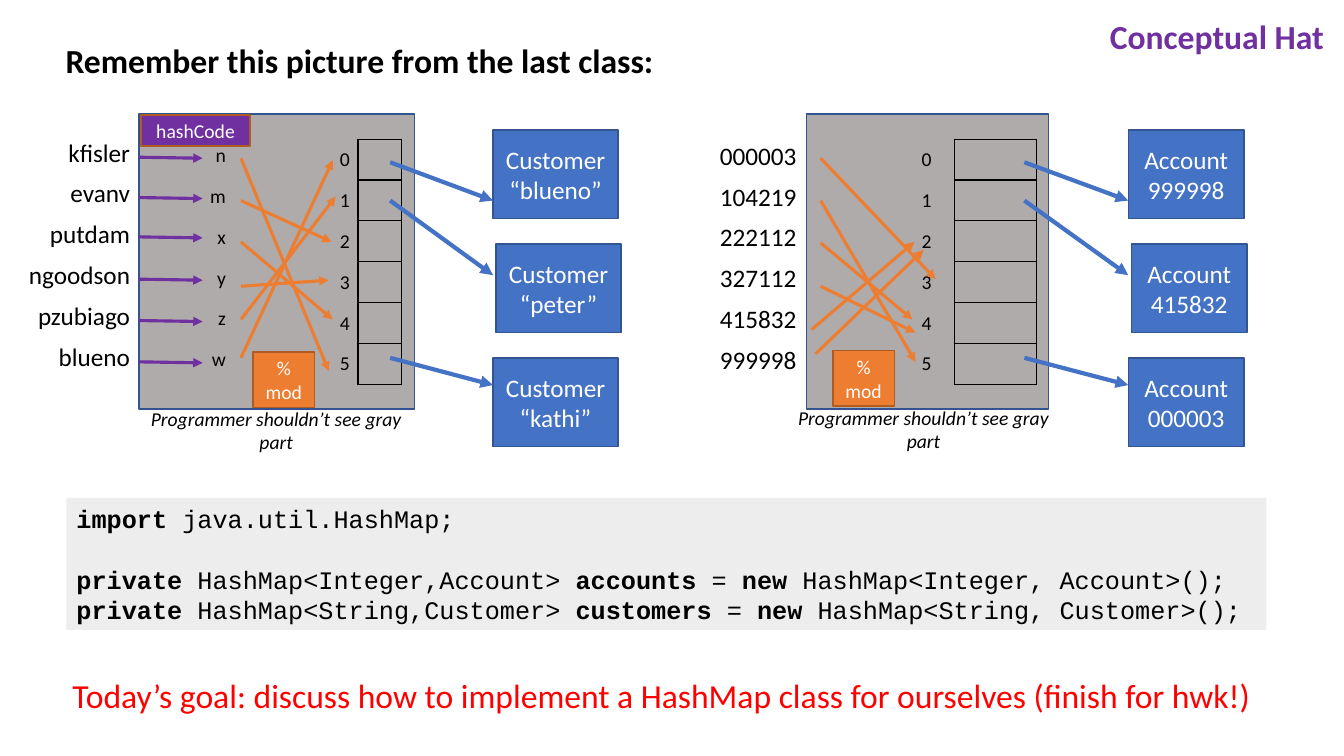
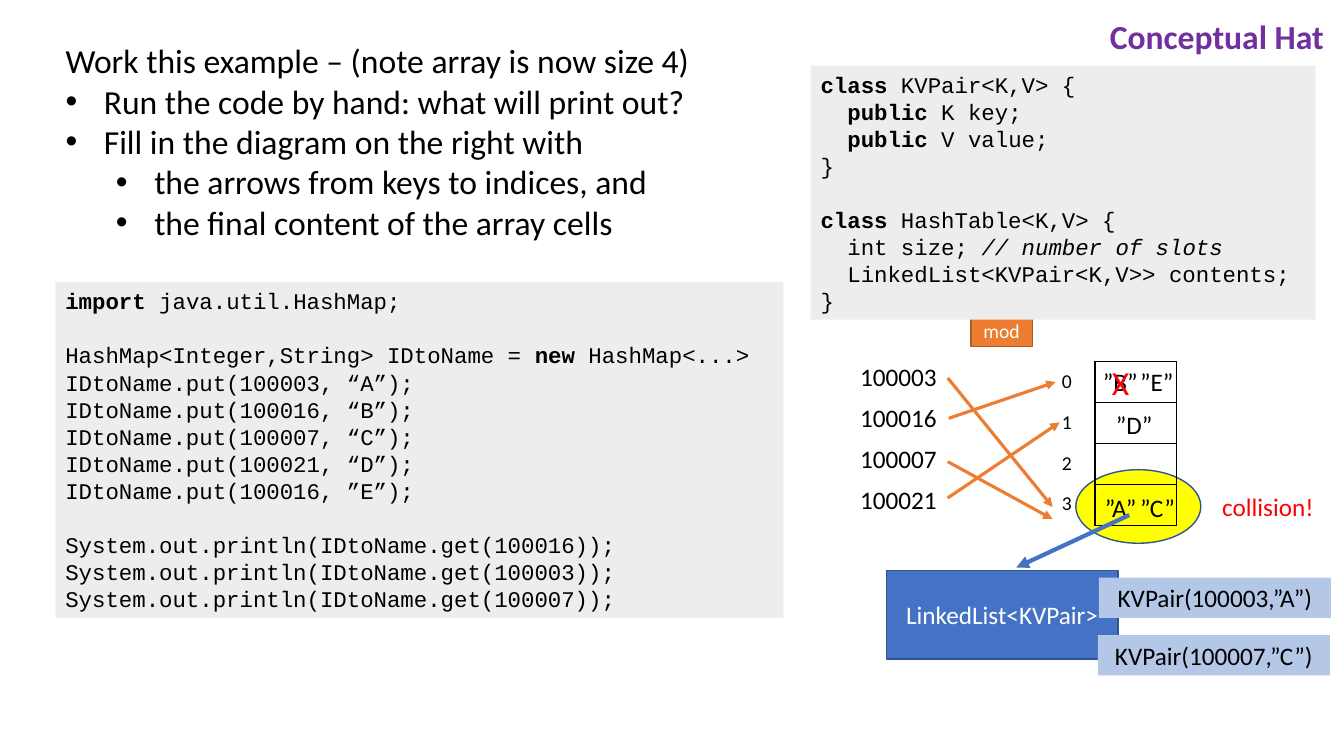
from lxml import etree
from pptx import Presentation
from pptx.dml.color import RGBColor
from pptx.enum.shapes import MSO_CONNECTOR, MSO_SHAPE
from pptx.enum.text import MSO_ANCHOR, MSO_AUTO_SIZE, PP_ALIGN
from pptx.oxml.ns import qn
from pptx.util import Inches, Pt

BLACK = RGBColor(0x00, 0x00, 0x00)
WHITE = RGBColor(0xFF, 0xFF, 0xFF)
RED = RGBColor(0xFF, 0x00, 0x00)
PURPLE = RGBColor(0x70, 0x30, 0xA0)
BLUE = RGBColor(0x44, 0x72, 0xC4)
DARK_BLUE = RGBColor(0x32, 0x54, 0x91)
PALE_BLUE = RGBColor(0xB4, 0xC7, 0xE7)
ORANGE = RGBColor(0xED, 0x7D, 0x31)
BROWN = RGBColor(0xAF, 0x5C, 0x24)
GRAY = RGBColor(0xAF, 0xAB, 0xAB)
PALE_GRAY = RGBColor(0xED, 0xED, 0xED)
YELLOW = RGBColor(0xFF, 0xFF, 0x00)

RECT, OVAL, STRAIGHT = MSO_SHAPE.RECTANGLE, MSO_SHAPE.OVAL, MSO_CONNECTOR.STRAIGHT
LEFT, CENTER, RIGHT = PP_ALIGN.LEFT, PP_ALIGN.CENTER, PP_ALIGN.RIGHT
TOP, MIDDLE = MSO_ANCHOR.TOP, MSO_ANCHOR.MIDDLE
NO_AUTOFIT = MSO_AUTO_SIZE.NONE

SANS, MONO = "Calibri", "Courier New"
PLAIN_TABLE = "{2D5ABB26-0587-4C30-8999-92F81FD0307C}"
ROW_HEIGHT = 0.81 / 2
CODE_SPACING = 1.21


def add_box(slide, at, text="", size=18, color=BLACK, fill=None, outline=None,
            align=CENTER, anchor=MIDDLE, font=SANS, italic=False, kind=RECT):
    """Add a shape with text; *stars* mark bold, and an empty line becomes spacing."""
    box = slide.shapes.add_shape(kind, *map(Inches, at))
    box.shadow.inherit = False
    if fill is None:
        box.fill.background()
    else:
        box.fill.solid()
        box.fill.fore_color.rgb = fill
    if outline is None:
        box.line.fill.background()
    else:
        box.line.color.rgb = outline
        box.line.width = Pt(1)
    frame = box.text_frame
    frame.word_wrap = True
    frame.vertical_anchor = anchor
    paragraph, gap = frame.paragraphs[0], 0
    for number, line in enumerate(text.split("\n")):
        if not line:
            gap = size * CODE_SPACING
            continue
        if number:
            paragraph = frame.add_paragraph()
        paragraph.alignment = align
        paragraph.space_before = Pt(gap)
        gap = 0
        if font == MONO:
            paragraph.line_spacing = Pt(size * CODE_SPACING)
        for part, words in enumerate(line.split("*")):
            if words:
                run = paragraph.add_run()
                run.text = words
                run.font.name, run.font.size = font, Pt(size)
                run.font.color.rgb = color
                run.font.bold = part % 2 == 1
                run.font.italic = italic or words.startswith("//")


def add_arrow(slide, start, end, color, width=2.25):
    """Add a straight arrow with a triangular head at its end."""
    arrow = slide.shapes.add_connector(STRAIGHT, *map(Inches, (*start, *end)))
    arrow.line.color.rgb = color
    arrow.line.width = Pt(width)
    etree.SubElement(arrow.line._get_or_add_ln(), qn("a:tailEnd"), type="triangle")
    etree.SubElement(arrow._element.spPr, qn("a:effectLst"))


prs = Presentation()
prs.slide_width, prs.slide_height = Inches(13.33), Inches(7.5)

# Title and opening text of both slides; each line has its indent level, 0 for no bullet
openings = [
    (0.5, True, [(0, "Remember this picture from the last class:")]),
    (2.12, False, [
        (0, "Work this example – (note array is now size 4)"),
        (1, "Run the code by hand: what will print out?"),
        (1, "Fill in the diagram on the right with"),
        (2, "the arrows from keys to indices, and"),
        (2, "the final content of the array cells"),
    ]),
]
for height, bold, lines in openings:
    slide = prs.slides.add_slide(prs.slide_layouts[1])
    title, body = slide.placeholders
    title.text_frame.text = "Conceptual Hat"
    body.text_frame.text = "\n".join(words for _, words in lines)
    for holder, at, color, heavy, align in [
        (title, (10.63, 0.11, 2.6, 0.5), PURPLE, True, RIGHT),
        (body, (0.55, 0.35, 6.6, height), BLACK, bold, LEFT),
    ]:
        holder.left, holder.top, holder.width, holder.height = map(Inches, at)
        holder.text_frame.auto_size = NO_AUTOFIT
        holder.text_frame.vertical_anchor = TOP
        for paragraph in holder.text_frame.paragraphs:
            paragraph.alignment = align
            paragraph.space_before = Pt(0)
            font = paragraph.runs[0].font
            font.name, font.size, font.bold = SANS, Pt(24), heavy
            font.color.rgb = color
    for paragraph, (level, _) in zip(body.text_frame.paragraphs, lines):
        paragraph.level = max(level - 1, 0)
        properties = paragraph._p.get_or_add_pPr()
        properties.set("marL", str(Inches((0, 0.38, 0.88)[level])))
        properties.set("indent", str(Inches(-0.38 if level else 0)))
        if level:
            etree.SubElement(properties, qn("a:buFont"), typeface="Arial")
            etree.SubElement(properties, qn("a:buChar"), char="•")
        else:
            etree.SubElement(properties, qn("a:buNone"))
recap, exercise = prs.slides

# Areas that lie behind the tables
add_box(recap, (1.38, 1.13, 2.73, 2.93), fill=GRAY, outline=DARK_BLUE)
add_box(recap, (8, 1.13, 2.4, 2.93), fill=GRAY, outline=DARK_BLUE)
add_box(exercise, (10.67, 4.66, 1.24, 0.73), fill=YELLOW, outline=DARK_BLUE, kind=OVAL)

# One-column tables: keys, hash codes, indices and bordered array slots
names = ["kfisler", "evanv", "putdam", "ngoodson", "pzubiago", "blueno"]
numbers = ["000003", "104219", "222112", "327112", "415832", "999998"]
columns = [
    (recap, 0, 1.32, 1.39, names, 18, 0.1),
    (recap, 1.99, 1.38, 0.35, "nmxyzw", 14, 0.1),
    (recap, 3.28, 1.42, 0.23, "012345", 14, 0.04),
    (recap, 3.55, 1.38, 0.43, [""] * 6, 18, 0.1),
    (recap, 6.61, 1.35, 1.39, numbers, 18, 0.1),
    (recap, 9.05, 1.42, 0.23, "012345", 14, 0.04),
    (recap, 9.47, 1.38, 0.81, [""] * 6, 18, 0.1),
    (exercise, 8.35, 3.55, 1.04, ["100003", "100016", "100007", "100021"], 18, 0.1),
    (exercise, 10.44, 3.62, 0.23, "0123", 14, 0.04),
    (exercise, 10.86, 3.59, 0.81, [""] * 4, 18, 0.1),
]
for slide, left, top, width, entries, size, margin in columns:
    place = map(Inches, (left, top, width, ROW_HEIGHT * len(entries)))
    table = slide.shapes.add_table(len(entries), 1, *place).table
    table.first_row = table.horz_banding = False
    table._tbl.tblPr.find(qn("a:tableStyleId")).text = PLAIN_TABLE
    for cell, entry in zip(table.iter_cells(), entries):
        cell.margin_left, cell.margin_right = Inches(min(margin, 0.05)), Inches(margin)
        if entry:
            cell.text_frame.text = entry
            paragraph = cell.text_frame.paragraphs[0]
            paragraph.alignment = RIGHT
            font = paragraph.runs[0].font
            font.name, font.size, font.color.rgb = SANS, Pt(size), BLACK
        else:
            for side in ("lnL", "lnR", "lnT", "lnB"):
                border = etree.SubElement(cell._tc.get_or_add_tcPr(), qn("a:" + side),
                                          w=str(Pt(1)))
                paint = etree.SubElement(border, qn("a:solidFill"))
                etree.SubElement(paint, qn("a:srgbClr"), val=str(BLACK))
        cell.fill.background()

# Slide 1: stored objects and the arrows to them
for left, width, slot_x, kind, keys in [
    (4.89, 1.24, 3.87, "Customer", ["“blueno”", "“peter”", "“kathi”"]),
    (11.19, 1.15, 10.16, "Account", ["999998", "415832", "000003"]),
]:
    for row, (key, slot_y, end_y) in enumerate(zip(keys, (1.61, 1.99, 3.55),
                                                   (1.99, 2.73, 3.82))):
        shift = 0.03 if row == 1 else 0
        add_box(recap, (left + shift, 1.29 + 1.13 * row, width, 0.88), f"{kind}\n{key}",
                color=WHITE, fill=BLUE, outline=DARK_BLUE)
        add_arrow(recap, (slot_x, slot_y), (left, end_y), BLUE, 3)

# Slide 1: keys to hash codes, hash codes to indices
for y in (1.56, 1.96, 2.35, 2.77, 3.18, 3.59):
    add_arrow(recap, (1.38, y), (2.01, y + 0.01), PURPLE)

index_arrows = [
    (recap, [
        ((2.39, 1.57), (3.26, 3.68)), ((2.39, 1.99), (3.29, 2.4)),
        ((2.39, 2.4), (3.3, 3.17)), ((2.39, 2.84), (3.26, 2.78)),
        ((2.39, 3.17), (3.33, 1.95)), ((2.39, 3.55), (3.3, 1.59)),
        ((8.14, 1.57), (9.28, 2.77)), ((8.14, 1.99), (9.08, 3.59)),
        ((8.14, 2.41), (9.05, 3.17)), ((8.14, 2.84), (9.08, 3.3)),
        ((8.05, 3.27), (9.07, 2.4)), ((8.09, 3.51), (9.16, 2.48)),
    ]),
    (exercise, [
        ((9.4, 3.75), (10.44, 5.03)), ((9.41, 4.15), (10.47, 3.79)),
        ((9.4, 4.58), (10.44, 5.15)), ((9.4, 4.94), (10.51, 4.19)),
    ]),
]
for slide, arrows in index_arrows:
    for start, end in arrows:
        add_arrow(slide, start, end, ORANGE)

for slide, left, top in [(recap, 2.51, 3.49), (recap, 8.26, 3.48), (exercise, 9.63, 2.89)]:
    add_box(slide, (left, top, 0.61, 0.55), "%\nmod", 14, WHITE, ORANGE, BROWN)
add_box(recap, (1.4, 1.14, 1.08, 0.31), "hashCode", 14, WHITE, PURPLE, BROWN)
for left, top in [(1.21, 4.1), (7.63, 4.09)]:
    add_box(recap, (left, top, 3.06, 0.34), "Programmer shouldn’t see gray part", 14,
            italic=True)
add_box(recap, (0.62, 6.65, 12.1, 0.5),
        "Today’s goal: discuss how to implement a HashMap class for ourselves "
        "(finish for hwk!)", 24, RED, align=LEFT)

# Code listings
declarations = """*import* java.util.HashMap;

*private* HashMap<Integer,Account> *accounts* = *new* HashMap<Integer, Account>();
*private* HashMap<String,Customer> *customers* = *new* HashMap<String, Customer>();"""
program = """*import* java.util.HashMap;

HashMap<Integer,String> IDtoName = *new* HashMap<...>
IDtoName.put(100003, “A”);
IDtoName.put(100016, “B”);
IDtoName.put(100007, “C”);
IDtoName.put(100021, “D”);
IDtoName.put(100016, ”E”);

System.out.println(IDtoName.get(100016));
System.out.println(IDtoName.get(100003));
System.out.println(IDtoName.get(100007));"""
classes = """*class* KVPair<K,V> {
  *public* K key;
  *public* V value;
}

*class* HashTable<K,V> {
  int size; **// number of slots
  LinkedList<KVPair<K,V>> contents;
}"""
for slide, at, code, size in [
    (recap, (0.66, 4.94, 11.9, 1.31), declarations, 18),
    (exercise, (0.55, 2.8, 7.22, 3.33), program, 16),
    (exercise, (8.04, 0.65, 5.01, 2.52), classes, 16),
]:
    add_box(slide, at, code, size, fill=PALE_GRAY, align=LEFT, anchor=TOP, font=MONO)

# Slide 2: slot contents and the collision
for left, top, value in [(10.86, 4.83, "”A”"), (11.21, 4.83, "”C”"), (10.97, 4.01, "”D”"),
                         (10.84, 3.58, "”B”"), (11.21, 3.58, "”E”")]:
    add_box(exercise, (left, top, 0.6, 0.4), value, align=LEFT)
add_box(exercise, (10.93, 3.54, 0.4, 0.5), "X", 24, RED, align=LEFT)
add_box(exercise, (12.02, 4.75, 1.11, 0.55), "collision!", color=RED)
add_box(exercise, (8.79, 5.66, 2.3, 0.88), "LinkedList<KVPair>", color=WHITE, fill=BLUE,
        outline=DARK_BLUE)
add_arrow(exercise, (11.2, 5.11), (10.08, 5.63), BLUE, 3)
for left, top, pair in [(10.9, 5.73, "KVPair(100003,”A”)"), (10.89, 6.3, "KVPair(100007,”C”)")]:
    add_box(exercise, (left, top, 2.3, 0.4), pair, fill=PALE_BLUE)

prs.save("out.pptx")
